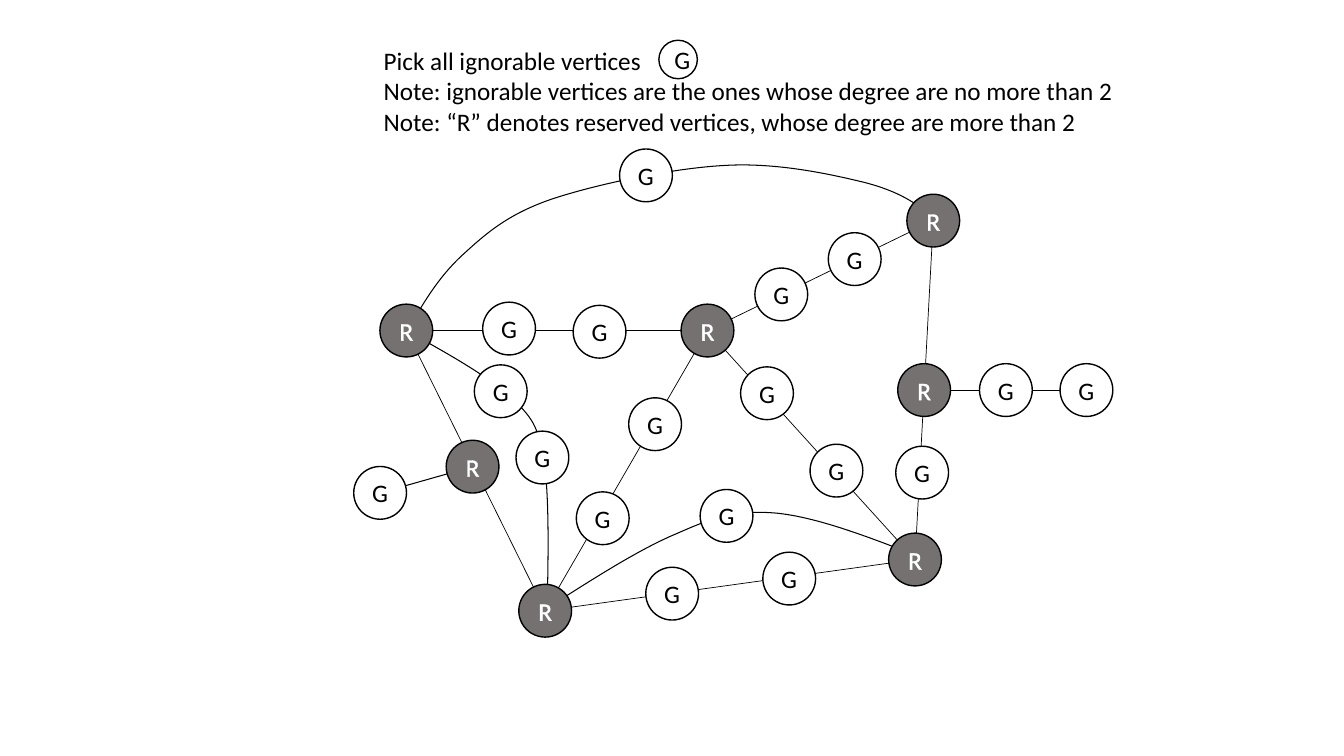
import pptx
import pptx.dml.color
import pptx.enum.shapes
import pptx.enum.text
import pptx.oxml
import pptx.oxml.ns
import pptx.util
from pptx.util import Cm

COLOURS = {"ink": "000000", "paper": "FFFFFF", "reserved": "767171"}
FONT = "Calibri"
VERTEX_SIZE = 1.33

RESERVED = {
    "west": (10.24, 8.33),
    "northeast": (23.52, 5.56),
    "south": (13.74, 15.39),
    "southeast": (23.06, 14.1),
    "southwest": (11.91, 11.76),
    "east": (23.29, 9.83),
    "middle": (17.83, 8.33),
}
WEST_LEAF = (9.58, 12.42)
EAST_LEAF = (27.38, 9.83)
IGNORABLE = [
    WEST_LEAF, (25.35, 9.83), EAST_LEAF, (12.83, 8.28), (15.11, 8.36),
    (19.69, 7.42), (21.54, 6.53), (19.33, 9.91), (21.08, 11.86),
    (16.51, 10.69), (15.19, 13.06), (23.24, 11.91), (16.28, 4.42),
    (16.94, 14.96), (19.89, 14.58), (18.31, 13), (12.62, 9.86),
    (13.67, 11.53),
]
STRAIGHT_EDGES = [
    ("west", "middle"), ("middle", "south"), ("northeast", "southeast"),
    ("south", "southeast"), ("west", "south"), ("middle", "northeast"),
    ("southeast", "middle"),
]
CURVED_EDGES = [
    [(10.24, 8.33), (11.3, 8.92), (12.34, 9.5), (12.93, 10.06),
     (13.51, 10.62), (13.56, 10.82), (13.72, 11.68),
     (13.84, 12.57), (13.82, 13.94), (13.79, 15.34)],
    [(13.69, 15.39), (14.88, 14.63), (16.1, 13.84), (17.07, 13.44),
     (18.06, 13), (18.57, 12.85), (19.56, 12.93),
     (20.57, 13.03), (21.84, 13.51), (23.09, 14)],
    [(10.26, 8.36), (10.64, 7.67), (11.05, 6.99), (11.63, 6.45),
     (12.24, 5.89), (12.78, 5.41), (13.87, 5.03),
     (14.99, 4.65), (16.94, 4.24), (18.26, 4.17),
     (19.58, 4.09), (20.93, 4.39), (21.79, 4.6),
     (22.68, 4.83), (23.09, 5.13), (23.5, 5.46)],
]
NOTES = [
    "Pick all ignorable vertices",
    "Note: ignorable vertices are the ones whose degree are no more than 2",
    "Note: “R” denotes reserved vertices, whose degree are more than 2",
]


def colour(name):
    return pptx.dml.color.RGBColor.from_string(COLOURS[name])


def set_line(shape, width):
    shape.line.color.rgb = colour("ink")
    shape.line.width = pptx.util.Pt(width)


def set_font(para, name):
    for span in para.runs:
        span.font.name = FONT
        span.font.size = pptx.util.Pt(18)
        span.font.color.rgb = colour(name)


def outline_text(span):
    outline = pptx.oxml.parse_xml(
        f'<a:ln {pptx.oxml.ns.nsdecls("a")} w="9525"><a:solidFill>'
        f'<a:srgbClr val="{COLOURS["paper"]}"/></a:solidFill></a:ln>')
    span.font._element.insert(0, outline)


def add_straight_edge(page, start, end, width=0.5):
    edge = page.shapes.add_connector(
        pptx.enum.shapes.MSO_CONNECTOR.STRAIGHT,
        *(Cm(value) for value in start + end))
    set_line(edge, width)
    edge._element.spPr.append(
        pptx.oxml.parse_xml(f'<a:effectLst {pptx.oxml.ns.nsdecls("a")}/>'))


def add_curved_edge(page, points):
    start, *controls = [(Cm(x), Cm(y)) for x, y in points]
    builder = page.shapes.build_freeform(*start)
    builder.add_line_segments(controls, close=False)
    edge = builder.convert_to_shape()
    edge.shadow.inherit = False
    edge.fill.background()
    set_line(edge, 0.75)
    outline = edge._element.find(".//" + pptx.oxml.ns.qn("a:path"))
    outline.set("fill", "none")
    segments = outline.findall(pptx.oxml.ns.qn("a:lnTo"))
    for index in range(0, len(segments), 3):
        curve = pptx.oxml.parse_xml(
            f'<a:cubicBezTo {pptx.oxml.ns.nsdecls("a")}/>')
        for segment in segments[index:index + 3]:
            curve.append(segment[0])
            outline.remove(segment)
        outline.append(curve)


def add_vertex(page, centre, letter, size=VERTEX_SIZE):
    x, y = centre
    vertex = page.shapes.add_shape(
        pptx.enum.shapes.MSO_SHAPE.OVAL,
        Cm(x - size / 2), Cm(y - size / 2), Cm(size), Cm(size))
    reserved = letter == "R"
    vertex.shadow.inherit = False
    vertex.fill.solid()
    vertex.fill.fore_color.rgb = colour("reserved" if reserved else "paper")
    set_line(vertex, 1)
    vertex.text_frame.text = letter
    vertex.text_frame.vertical_anchor = pptx.enum.text.MSO_ANCHOR.MIDDLE
    para = vertex.text_frame.paragraphs[0]
    para.alignment = pptx.enum.text.PP_ALIGN.CENTER
    set_font(para, "paper" if reserved else "ink")
    if reserved:
        outline_text(para.runs[0])


def add_notes(page):
    box = page.shapes.add_textbox(Cm(9.42), Cm(1.02), Cm(19.13), Cm(2.57))
    box.text_frame.text = "\n".join(NOTES)
    box.text_frame.word_wrap = False
    box.text_frame.auto_size = pptx.enum.text.MSO_AUTO_SIZE.SHAPE_TO_FIT_TEXT
    for para in box.text_frame.paragraphs:
        set_font(para, "ink")


def main():
    deck = pptx.Presentation()
    deck.slide_width, deck.slide_height = Cm(33.87), Cm(19.05)
    page = deck.slides.add_slide(deck.slide_layouts[6])
    for points in CURVED_EDGES:
        add_curved_edge(page, points)
    add_straight_edge(page, RESERVED["east"], EAST_LEAF)
    add_straight_edge(page, RESERVED["southwest"], WEST_LEAF, 0.75)
    for start, end in STRAIGHT_EDGES:
        add_straight_edge(page, RESERVED[start], RESERVED[end])
    for centre in RESERVED.values():
        add_vertex(page, centre, "R")
    for centre in IGNORABLE:
        add_vertex(page, centre, "G")
    add_notes(page)
    add_vertex(page, (17.09, 1.5), "G", 0.97)
    deck.save("out.pptx")


main()
